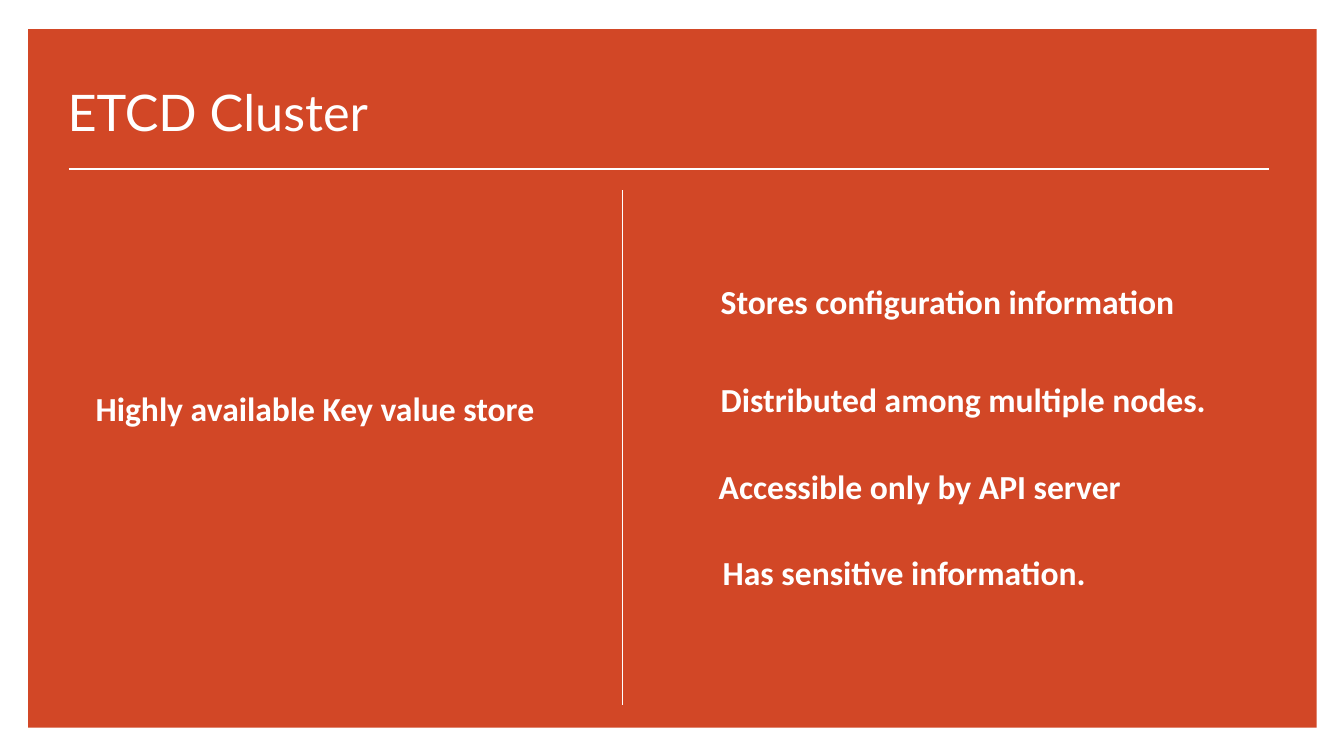
"""Build the ETCD Cluster slide."""
import pptx
import pptx.util
import pptx.dml.color
import pptx.enum.shapes
import pptx.enum.text
import pptx.oxml

ORANGE = pptx.dml.color.RGBColor(0xD2, 0x47, 0x26)
WHITE = pptx.dml.color.RGBColor(0xFF, 0xFF, 0xFF)

WIDTH, HEIGHT = 13.33, 7.5
HEADING = "ETCD Cluster"
HEADING_BOX = (0.57, 0.76, 7.52, 0.7)
PANEL_BOX = (0.28, 0.29, 12.78, 6.93)
RULES = [
    ((0.68, 1.68), (12.59, 1.68), 1.5),
    ((6.17, 1.89), (6.17, 6.99), 0.5),
]
STATEMENT_HEIGHT = 0.5
STATEMENTS = [
    ("Highly available Key value store", 0.85, 3.8, 4.71),
    ("Stores configuration information", 7.05, 2.74, 5.76),
    ("Distributed among multiple nodes.", 7.05, 3.71, 5.43),
    ("Accessible only by API server", 7.03, 4.57, 5.27),
    ("Has sensitive information.", 7.07, 5.43, 5.27),
]


def inches(lengths):
    return [pptx.util.Inches(length) for length in lengths]


def write(frame, words, font_name, size, bold):
    frame.word_wrap = True
    paragraph = frame.paragraphs[0]
    paragraph.alignment = pptx.enum.text.PP_ALIGN.LEFT
    run = paragraph.add_run()
    run.text = words
    run.font.name = font_name
    run.font.size = pptx.util.Pt(size)
    run.font.bold = bold
    run.font.color.rgb = WHITE


def add_panel(slide):
    panel = slide.shapes.add_shape(
        pptx.enum.shapes.MSO_SHAPE.RECTANGLE, *inches(PANEL_BOX))
    panel.shadow.inherit = False
    panel.fill.solid()
    panel.fill.fore_color.rgb = ORANGE
    panel.line.fill.background()
    return panel


def add_heading(slide, panel):
    heading = slide.shapes.title
    heading.left, heading.top, heading.width, heading.height = inches(HEADING_BOX)
    heading.text_frame.auto_size = pptx.enum.text.MSO_AUTO_SIZE.NONE
    heading.text_frame.vertical_anchor = pptx.enum.text.MSO_ANCHOR.BOTTOM
    write(heading.text_frame, HEADING, "Lato", 36, False)
    panel.element.addnext(heading.element)


def add_rule(slide, start, end, weight):
    rule = slide.shapes.add_connector(
        pptx.enum.shapes.MSO_CONNECTOR.STRAIGHT, *inches(start + end))
    rule.line.color.rgb = WHITE
    rule.line.width = pptx.util.Pt(weight)
    rule.element.spPr.append(pptx.oxml.parse_xml(
        '<a:effectLst xmlns:a="http://schemas.openxmlformats.org/drawingml/2006/main"/>'))


def add_statement(slide, words, left, top, width):
    statement = slide.shapes.add_textbox(
        *inches((left, top, width, STATEMENT_HEIGHT)))
    write(statement.text_frame, words, "Calibri", 24, True)
    statement.text_frame.auto_size = pptx.enum.text.MSO_AUTO_SIZE.SHAPE_TO_FIT_TEXT


def main():
    deck = pptx.Presentation()
    deck.slide_width, deck.slide_height = inches((WIDTH, HEIGHT))
    slide = deck.slides.add_slide(deck.slide_layouts.get_by_name("Title Only"))
    add_heading(slide, add_panel(slide))
    for rule in RULES:
        add_rule(slide, *rule)
    for statement in STATEMENTS:
        add_statement(slide, *statement)
    deck.save("out.pptx")


if __name__ == "__main__":
    main()
